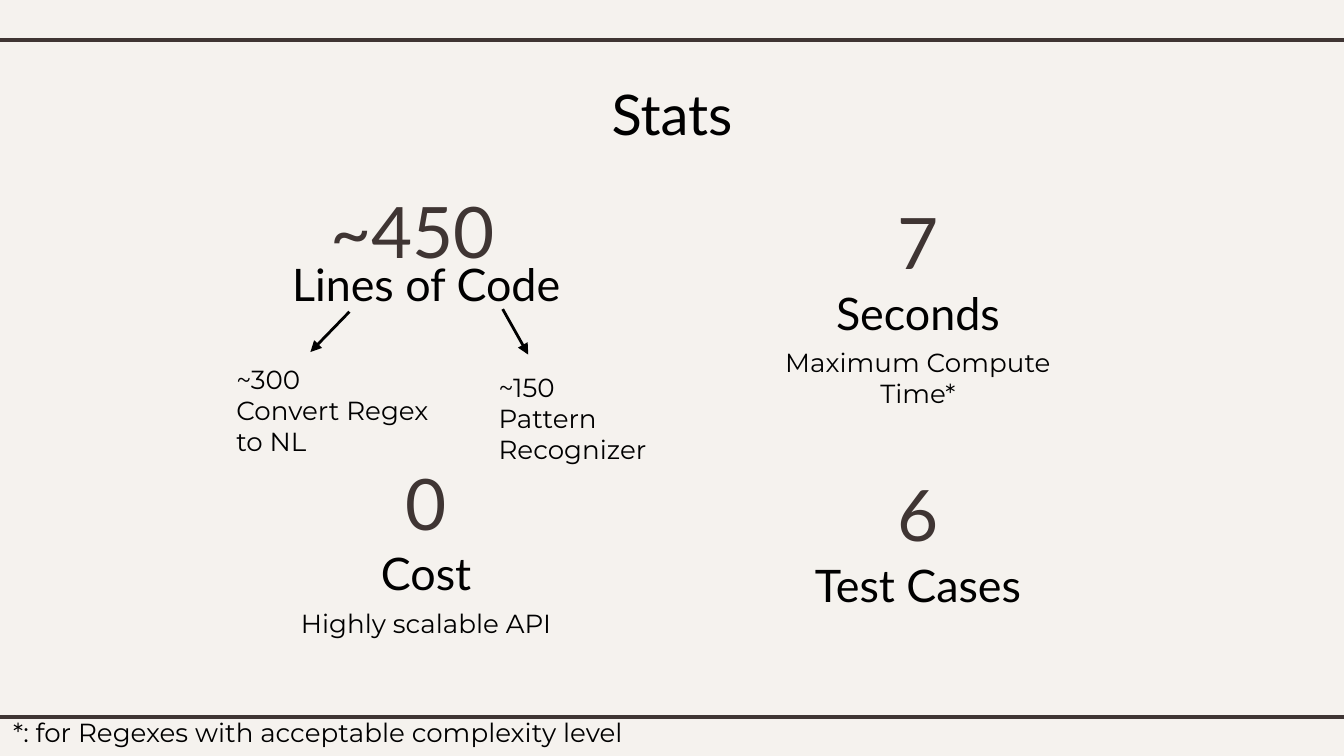
from lxml import etree
from pptx import Presentation
from pptx.dml.color import RGBColor
from pptx.enum.shapes import MSO_CONNECTOR
from pptx.enum.text import MSO_ANCHOR, MSO_AUTO_SIZE, PP_ALIGN
from pptx.oxml.ns import qn
from pptx.util import Pt

STRAIGHT = MSO_CONNECTOR.STRAIGHT
TOP, MIDDLE = MSO_ANCHOR.TOP, MSO_ANCHOR.MIDDLE
LEFT, CENTER = PP_ALIGN.LEFT, PP_ALIGN.CENTER
NO_AUTOSIZE = MSO_AUTO_SIZE.NONE
BACKGROUND, BROWN, BLACK = "F5F2EE", "3F3533", "000000"
HEADING, BODY = "Lato", "Montserrat"
INSET = 7.2
STAT_WIDTH, NUMBER_HEIGHT, LABEL_HEIGHT, CAPTION_HEIGHT = 196, 52.6, 28, 49


def color(value):
    """Turn a hex string into a colour."""
    return RGBColor.from_string(value)


def fill_text(shape, box, lines, size, font, hue=BLACK, align=CENTER, anchor=TOP):
    """Place a text shape in its box and write one paragraph per line."""
    shape.left, shape.top, shape.width, shape.height = map(Pt, box)
    frame = shape.text_frame
    frame.word_wrap = True
    frame.auto_size = NO_AUTOSIZE
    frame.vertical_anchor = anchor
    frame.margin_left = frame.margin_right = Pt(INSET)
    frame.margin_top = frame.margin_bottom = Pt(INSET)
    frame.text = "\n".join(lines)
    for para in frame.paragraphs:
        para.alignment = align
        para.font.size = Pt(size)
        para.font.name = font
        para.font.color.rgb = color(hue)


def add_text(page, box, lines, *style, **options):
    """Add a text box with the given lines and style."""
    shape = page.shapes.add_textbox(*map(Pt, box))
    fill_text(shape, box, lines, *style, **options)


def add_line(page, start, end, hue, width, arrow=False):
    """Draw a straight line, with an arrowhead at its end if asked."""
    line = page.shapes.add_connector(STRAIGHT, *map(Pt, start + end))
    line.line.color.rgb = color(hue)
    line.line.width = Pt(width)
    if arrow:
        etree.SubElement(line.line._get_or_add_ln(), qn("a:tailEnd"), type="triangle")
    etree.SubElement(line._element.spPr, qn("a:effectLst"))


def add_frame(page):
    """Draw the background, the two rules and the title."""
    page.background.fill.solid()
    page.background.fill.fore_color.rgb = color(BACKGROUND)
    for y in (21.6, 384):
        add_line(page, (-6, y), (726, y), BROWN, 2.25)
    fill_text(page.shapes.title, (54.7, 35.3, 610.6, 45.4), ["Stats"], 30, HEADING)


def add_stat(page, left, top, number, label, caption=None, label_drop=50.4, shift=0):
    """Stack a large number, its label and an optional caption."""
    label_top = top + label_drop
    add_text(page, (left + shift, top, STAT_WIDTH, NUMBER_HEIGHT), [number],
             38, HEADING, BROWN, anchor=MIDDLE)
    add_text(page, (left, label_top, STAT_WIDTH, LABEL_HEIGHT), [label],
             24, HEADING, anchor=MIDDLE)
    if caption:
        add_text(page, (left, label_top + 25, STAT_WIDTH, CAPTION_HEIGHT), [caption], 14, BODY)


def add_part(page, box, lines, start, end):
    """Write one part of the line count and point an arrow to it."""
    add_line(page, start, end, BLACK, 1.5, arrow=True)
    add_text(page, box, lines, 14, BODY, align=LEFT)


def main():
    """Build the slide and save it."""
    deck = Presentation()
    deck.slide_width, deck.slide_height = Pt(720), Pt(405)
    page = deck.slides.add_slide(deck.slide_layouts[5])
    add_frame(page)
    left, right = 130.3, 393.8
    add_stat(page, left, 97.2, "~450", "Lines of Code", label_drop=41, shift=-7.2)
    add_stat(page, right, 103, "7", "Seconds", "Maximum Compute Time*")
    add_stat(page, left, 242.6, "0", "Cost", "Highly scalable API")
    add_stat(page, right, 248.6, "6", "Test Cases")
    add_part(page, (119.5, 187.2, 119.5, 82), ["~300", "Convert Regex to NL"],
             (187.2, 167), (166.3, 188.6))
    add_part(page, (260, 191.5, 97.2, 65.5), ["~150", "Pattern Recognizer"],
             (269.3, 165.6), (283, 190))
    add_text(page, (0, 376.6, 532.8, 28), ["*: for Regexes with acceptable complexity level"],
             14, BODY, align=LEFT)
    deck.save("out.pptx")


if __name__ == "__main__":
    main()
